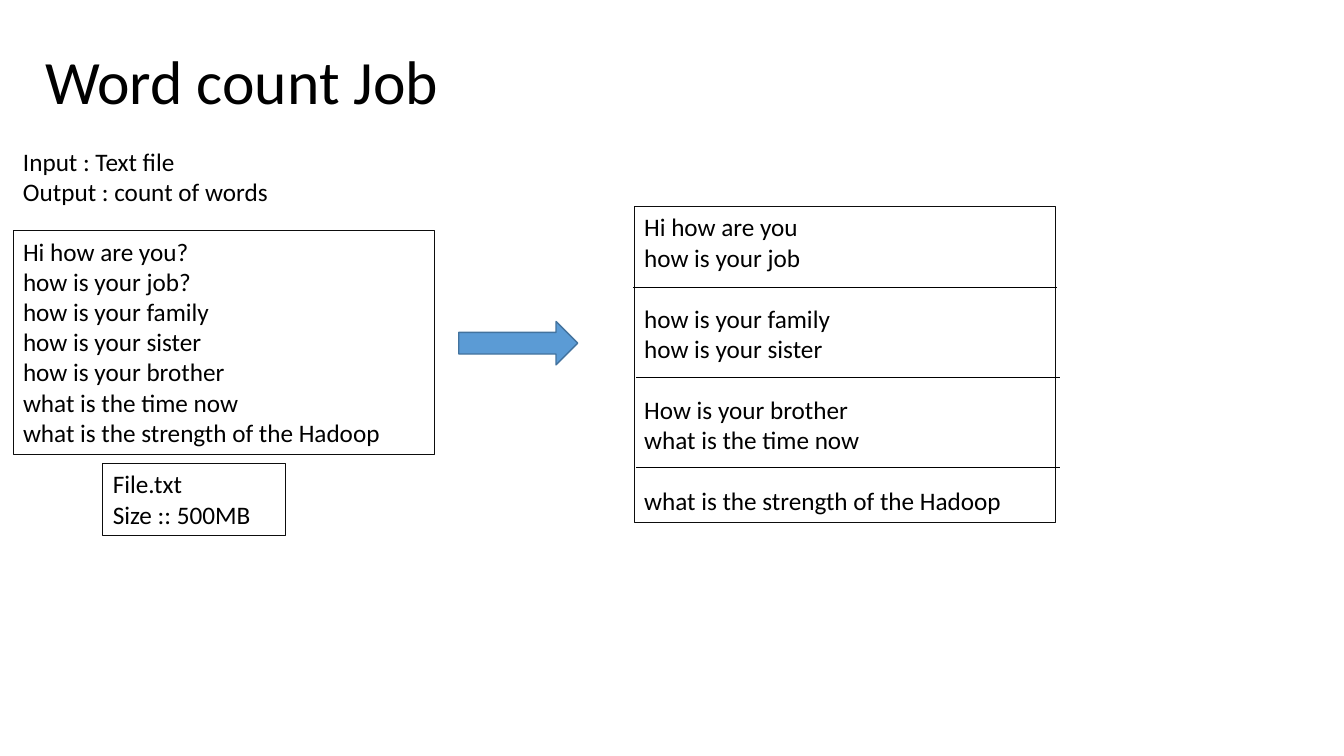
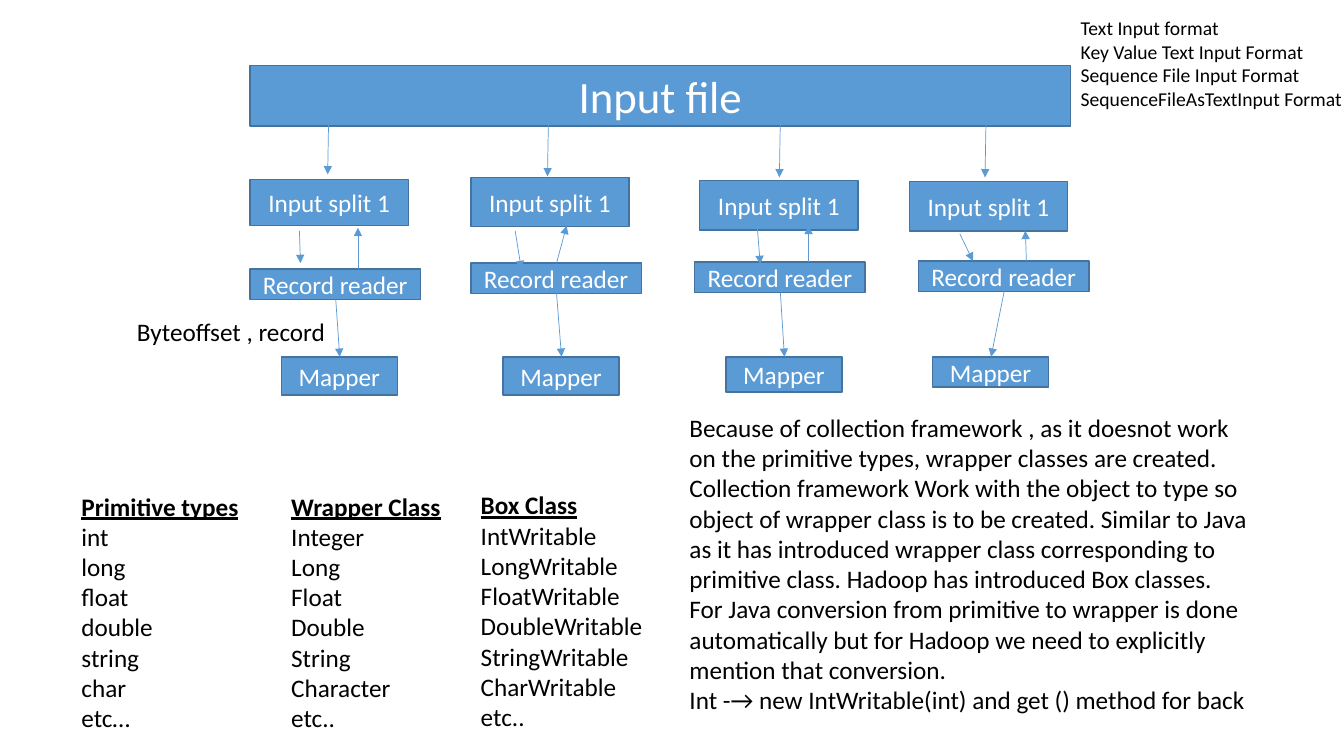
import dataclasses
import pptx
import pptx.util
import pptx.dml.color
import pptx.enum.shapes
import pptx.enum.text
import pptx.oxml
import pptx.oxml.ns

PX = 9144  # EMU, a hundredth of an inch
FONT = "Calibri"
BLACK = pptx.dml.color.RGBColor(0x00, 0x00, 0x00)
INK = pptx.dml.color.RGBColor(0x0D, 0x0D, 0x0D)
WHITE = pptx.dml.color.RGBColor(0xFF, 0xFF, 0xFF)
BLUE = pptx.dml.color.RGBColor(0x5B, 0x9B, 0xD5)
EDGE = pptx.dml.color.RGBColor(0x43, 0x73, 0x9E)
SHAPE = pptx.enum.shapes.MSO_SHAPE
ANCHOR = pptx.enum.text.MSO_ANCHOR
ALIGN = pptx.enum.text.PP_ALIGN


@dataclasses.dataclass
class Lane:
    """One column of the flow; places are offsets from its left and top."""
    left: int
    feed: tuple    # start of the arrow from the file
    split: tuple   # y, height
    down: tuple    # x, y, end x, end y
    up: tuple      # x, end x, end y
    reader: tuple  # x, y
    mapper: tuple  # x, height


LANES = [
    Lane(248, (78, 0), (63, 46), (49, 114, 50, 146), (107, 107, 111),
         (0, 152), (31, 38)),
    Lane(467, (77, 2), (61, 49), (44, 114, 50, 152), (85, 95, 109),
         (0, 146), (32, 38)),
    Lane(694, (80, 3), (64, 49), (57, 109, 60, 147), (108, 108, 109),
         (-5, 145), (26, 35)),
    Lane(902, (76, 3), (65, 49), (50, 117, 63, 144), (116, 115, 114),
         (9, 144), (23, 30)),
]

INPUT = [
    "Hi how are you?", "how is your job?", "how is your family",
    "how is your sister", "how is your brother", "what is the time now",
    "what is the strength of the Hadoop",
]
PARTS = [
    ["Hi how are you", "how is your job"],
    ["how is your family", "how is your sister"],
    ["How is your brother", "what is the time now"],
    ["what is the strength of the Hadoop"],
]
TYPES = [
    (71, 482, 177, ["Primitive types", "int", "long", "float", "double",
                    "string", "char", "etc…"]),
    (279, 482, 207, ["Wrapper Class", "Integer", "Long", "Float", "Double",
                     "String", "Character", "etc.."]),
    (467, 481, 207, ["Box Class", "IntWritable", "LongWritable",
                     "FloatWritable", "DoubleWritable", "StringWritable",
                     "CharWritable", "etc.."]),
]
FORMATS = [
    "Text Input format", "Key Value Text Input Format",
    "Sequence File Input Format", "SequenceFileAsTextInput Format",
]
NOTES = [
    "Because of collection framework , as it doesnot work on the primitive "
    "types, wrapper classes are created.",
    "Collection framework Work with the object to type so object of wrapper "
    "class is to be created. Similar to Java as it has introduced wrapper "
    "class corresponding to primitive class. Hadoop has introduced Box "
    "classes.",
    "For Java conversion from primitive to wrapper is done automatically but "
    "for Hadoop we need to explicitly mention that conversion.",
    "Int -→ new IntWritable(int) and get () method for back",
]


def scale(*sizes):
    return [round(size * PX) for size in sizes]


def write(frame, lines, size, color):
    """Fill a text frame and return its paragraphs."""
    frame.word_wrap = True
    for i, line in enumerate(lines):
        para = frame.paragraphs[0] if i == 0 else frame.add_paragraph()
        para.text = line
        para.font.name = FONT
        para.font.size = pptx.util.Pt(size)
        para.font.color.rgb = color
    return frame.paragraphs


def text(slide, box, lines, size=18, framed=False):
    shape = slide.shapes.add_textbox(*scale(*box))
    if framed:
        shape.line.color.rgb = INK
        shape.line.width = pptx.util.Pt(0.75)
    return write(shape.text_frame, lines, size, BLACK)


def title(slide, box, line):
    shape = slide.shapes.add_textbox(*scale(*box))
    shape.text_frame.vertical_anchor = ANCHOR.MIDDLE
    write(shape.text_frame, [line], 44, BLACK)[0].line_spacing = 0.9


def block(slide, box, label="", size=18, kind=SHAPE.RECTANGLE):
    shape = slide.shapes.add_shape(kind, *scale(*box))
    shape.shadow.inherit = False
    shape.fill.solid()
    shape.fill.fore_color.rgb = BLUE
    shape.line.color.rgb = EDGE
    shape.line.width = pptx.util.Pt(1)
    if label:
        shape.text_frame.vertical_anchor = ANCHOR.MIDDLE
        para = write(shape.text_frame, [label], size, WHITE)[0]
        para.alignment = ALIGN.CENTER


def rule(slide, ends, color=BLACK):
    line = slide.shapes.add_connector(
        pptx.enum.shapes.MSO_CONNECTOR.STRAIGHT, *scale(*ends))
    line.line.color.rgb = color
    line.line.width = pptx.util.Pt(0.5)
    props = line._element.spPr
    props.append(pptx.oxml.parse_xml(
        "<a:effectLst %s/>" % pptx.oxml.ns.nsdecls("a")))
    return line


def arrow(slide, ends):
    line = rule(slide, ends, BLUE)
    line.line._get_or_add_ln().append(pptx.oxml.parse_xml(
        '<a:tailEnd %s type="triangle"/>' % pptx.oxml.ns.nsdecls("a")))


def parts(slide, x, y, wide, high):
    """Framed text in four groups, with a rule between neighbours."""
    lines = [line for part in PARTS for line in part]
    starts = {part[0] for part in PARTS[1:]}
    for para in text(slide, (x, y, wide, high), lines, framed=True):
        if para.text in starts:
            para.space_before = pptx.util.Pt(22)
    for dx, dy in ((-1, 80), (2, 169), (2, 259)):
        rule(slide, (x + dx, y + dy, x + dx + 420, y + dy))


def flow(slide, lane, top):
    """Input split, record reader and mapper, joined by arrows."""
    x = lane.left
    split, tall = lane.split
    rx, ry = lane.reader
    mx, high = lane.mapper
    block(slide, (x, top + split, 157, tall), "Input split 1")
    block(slide, (x + rx, top + ry, 169, 30), "Record reader")
    block(slide, (x + mx, top + 239, 115, high), "Mapper")
    fx, fy = lane.feed
    ux, ex, ey = lane.up
    for x1, y1, x2, y2 in (
            (fx, fy, fx - 1, fy + 58),
            lane.down,
            (ux, ry, ex, ey),
            (rx + 85, ry + 30, mx + 58, 239)):
        arrow(slide, (x + x1, top + y1, x + x2, top + y2))


def job(slide):
    title(slide, (35, 11, 1150, 145), "Word count Job")
    text(slide, (13, 140, 434, 71),
         ["Input : Text file", "Output : count of words"])
    text(slide, (13, 229, 418, 222), INPUT, framed=True)
    text(slide, (102, 460, 181, 71), ["File.txt", "Size :: 500MB"],
         framed=True)
    block(slide, (455, 319, 118, 43), kind=SHAPE.RIGHT_ARROW)
    parts(slide, 629, 205, 418, 313)


def stages(slide):
    block(slide, (248, 65, 814, 60), "Input file", 32)
    for lane in LANES:
        flow(slide, lane, 115)
    text(slide, (1062, 11, 284, 104), FORMATS, 14)
    text(slide, (126, 309, 244, 40), ["Byteoffset , record"])
    for x, y, wide, lines in TYPES:
        head = text(slide, (x, y, wide, 252), lines)[0]
        head.font.bold = True
        head.font.underline = True
    text(slide, (674, 404, 576, 343), NOTES)


def main():
    deck = pptx.Presentation()
    deck.slide_width, deck.slide_height = scale(1333, 750)
    for build in (job, stages):
        build(deck.slides.add_slide(deck.slide_layouts[6]))
    deck.save("out.pptx")


if __name__ == "__main__":
    main()
